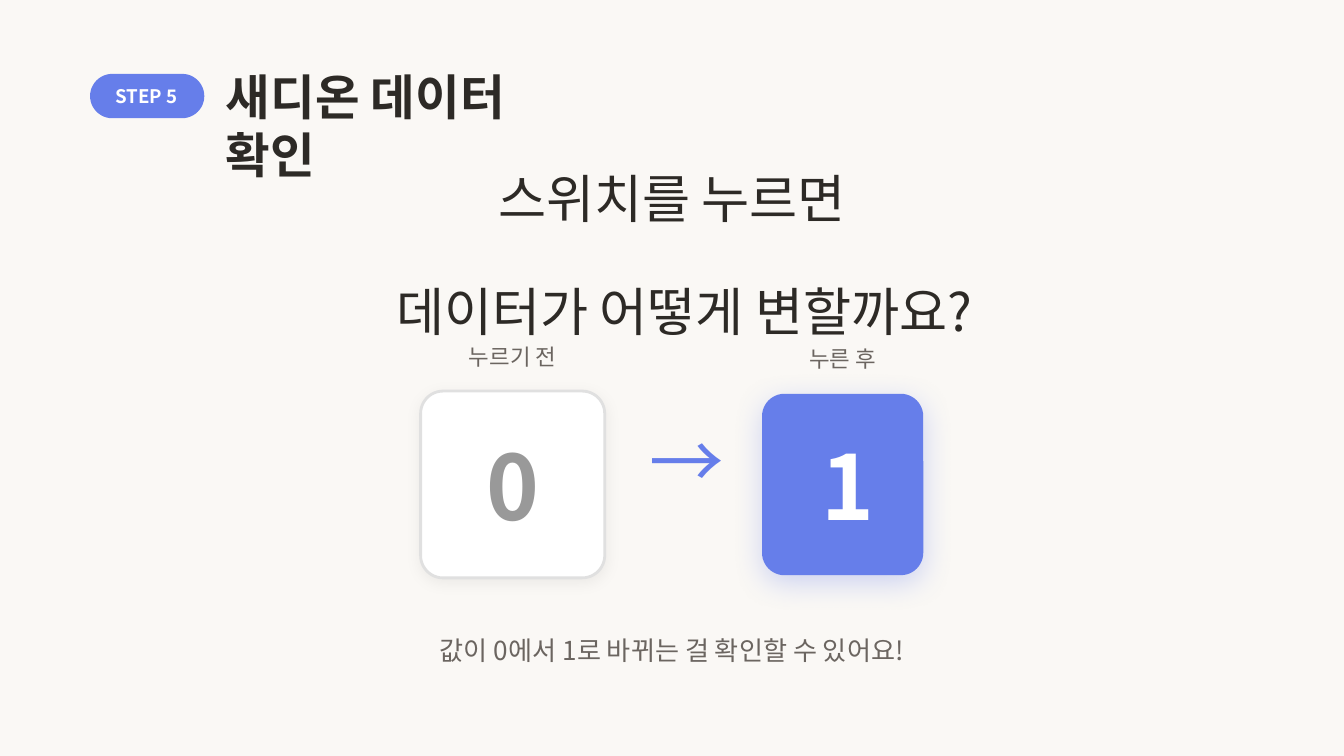
from lxml import etree
from pptx import Presentation
from pptx.dml.color import RGBColor
from pptx.enum.shapes import MSO_SHAPE
from pptx.enum.text import MSO_ANCHOR, MSO_AUTO_SIZE, PP_ALIGN
from pptx.oxml.ns import qn
from pptx.util import Inches, Pt

FONT = "Noto Sans CJK KR"
WIDTH = 10
HEIGHT = WIDTH * 9 / 16
C = {"paper": "FAF8F5", "blue": "667EEA", "white": "FFFFFF", "ink": "2D2A26",
     "soft": "6B6560", "grey": "999999", "edge": "E0E0E0", "black": "000000"}

# Character formats: size, colour, bold
STYLES = {
    "badge": dict(size=10, color="white", bold=True),
    "title": dict(size=26, color="ink", bold=True),
    "question": dict(size=28, color="ink", bold=False),
    "label": dict(size=12, color="soft", bold=False),
    "off": dict(size=48, color="grey", bold=True),
    "on": dict(size=48, color="white", bold=True),
    "arrow": dict(size=40, color="blue", bold=False),
    "note": dict(size=14, color="soft", bold=False),
}
CENTER = dict(alignment=PP_ALIGN.CENTER)
QUESTION_PARA = dict(CENTER, line_spacing=Pt(36.4), space_after=Pt(24))
LABEL_PARA = dict(CENTER, space_after=Pt(12))
NOTE_PARA = dict(CENTER, line_spacing=Pt(22.4), space_before=Pt(24))

TITLE = "새디온 데이터 확인"
BADGE = "STEP 5"
QUESTION = ["스위치를 누르면", "데이터가 어떻게 변할까요?"]
NOTE = "값이 0에서 1로 바뀌는 걸 확인할 수 있어요!"
COLUMN_W = 4.17
COLUMN_X = (WIDTH - COLUMN_W) / 2

# The two states: box is left, top, width, height; shadow is colour, alpha %, blur, distance
STATES = [
    dict(label="누르기 전", label_w=1.4, value="0", style="off", value_w=0.45,
         box=(3.13, 2.91, 1.37, 1.39), fill="white", edge="edge",
         shadow=("black", 6, 8, 2)),
    dict(label="누른 후", label_w=1.23, value="1", style="on", value_w=0.32,
         box=(5.67, 2.93, 1.2, 1.35), fill="blue", edge=None,
         shadow=("blue", 30, 16, 4)),
]
CORNER, LABEL_RISE, VALUE_H = 0.167, 0.36, 0.79


def rgb(name):
    return RGBColor.from_string(C[name])


def write(shape, lines, style, para):
    tf = shape.text_frame
    frame = dict(word_wrap=True, auto_size=MSO_AUTO_SIZE.NONE,
                 vertical_anchor=MSO_ANCHOR.TOP, margin_left=0, margin_top=0,
                 margin_right=0, margin_bottom=0)
    for name, value in frame.items():
        setattr(tf, name, value)
    fmt = STYLES[style]
    for i, line in enumerate(lines):
        p = tf.add_paragraph() if i else tf.paragraphs[0]
        for name, value in para.items():
            setattr(p, name, value)
        r = p.add_run()
        r.text = line
        r.font.name, r.font.size, r.font.bold = FONT, Pt(fmt["size"]), fmt["bold"]
        r.font.color.rgb = rgb(fmt["color"])
        # Korean glyphs take the East Asian typeface
        etree.SubElement(r.font._element, qn("a:ea"), typeface=FONT)


def add_text(s, box, lines, style, para=CENTER):
    write(s.shapes.add_textbox(*map(Inches, box)), lines, style, para)


def add_round_box(s, box, radius, fill, edge=None):
    sp = s.shapes.add_shape(MSO_SHAPE.ROUNDED_RECTANGLE, *map(Inches, box))
    sp.adjustments[0] = min(0.5, radius / min(box[2:]))
    sp.shadow.inherit = False
    sp.fill.solid()
    sp.fill.fore_color.rgb = rgb(fill)
    if edge:
        sp.line.color.rgb = rgb(edge)
        sp.line.width = Pt(1.5)
    else:
        sp.line.fill.background()
    return sp


def drop_shadow(sp, color, alpha, blur, distance):
    effects = sp._element.spPr.find(qn("a:effectLst"))
    shadow = etree.SubElement(effects, qn("a:outerShdw"), blurRad=str(Pt(blur)),
                              dist=str(Pt(distance)), dir=str(90 * 60000),
                              algn="ctr", rotWithShape="0")
    tint = etree.SubElement(shadow, qn("a:srgbClr"), val=C[color])
    etree.SubElement(tint, qn("a:alpha"), val=str(alpha * 1000))


def add_state(s, state):
    x, y, w, h = state["box"]
    middle = x + w / 2
    label_w, value_w = state["label_w"], state["value_w"]
    add_text(s, (middle - label_w / 2, y - LABEL_RISE, label_w, 0.2),
             [state["label"]], "label", LABEL_PARA)
    sp = add_round_box(s, state["box"], CORNER, state["fill"], state["edge"])
    drop_shadow(sp, *state["shadow"])
    add_text(s, (middle - value_w / 2, y + (h - VALUE_H) / 2, value_w, VALUE_H),
             [state["value"]], state["style"])


def main():
    prs = Presentation()
    prs.slide_width, prs.slide_height = Inches(WIDTH), Inches(HEIGHT)
    s = prs.slides.add_slide(prs.slide_layouts[5])
    s.background.fill.solid()
    s.background.fill.fore_color.rgb = rgb("paper")

    title = s.shapes.title
    place = dict(left=1.68, top=0.5, width=2.72, height=0.43)
    for name, value in place.items():
        setattr(title, name, Inches(value))
    left = dict(alignment=PP_ALIGN.LEFT)
    write(title, [TITLE], "title", dict(left, space_before=Pt(0)))

    add_round_box(s, (0.67, 0.55, 0.85, 0.33), HEIGHT, "blue")
    add_text(s, (0.86, 0.63, 0.47, 0.17), [BADGE], "badge", left)
    add_text(s, (COLUMN_X, 1.2, COLUMN_W, 1.01), QUESTION, "question", QUESTION_PARA)
    for state in STATES:
        add_state(s, state)
    add_text(s, (4.83, 3.09, 0.52, 0.67), ["→"], "arrow")
    add_text(s, (COLUMN_X, 4.64, COLUMN_W, 0.31), [NOTE], "note", NOTE_PARA)
    prs.save("out.pptx")


if __name__ == "__main__":
    main()
